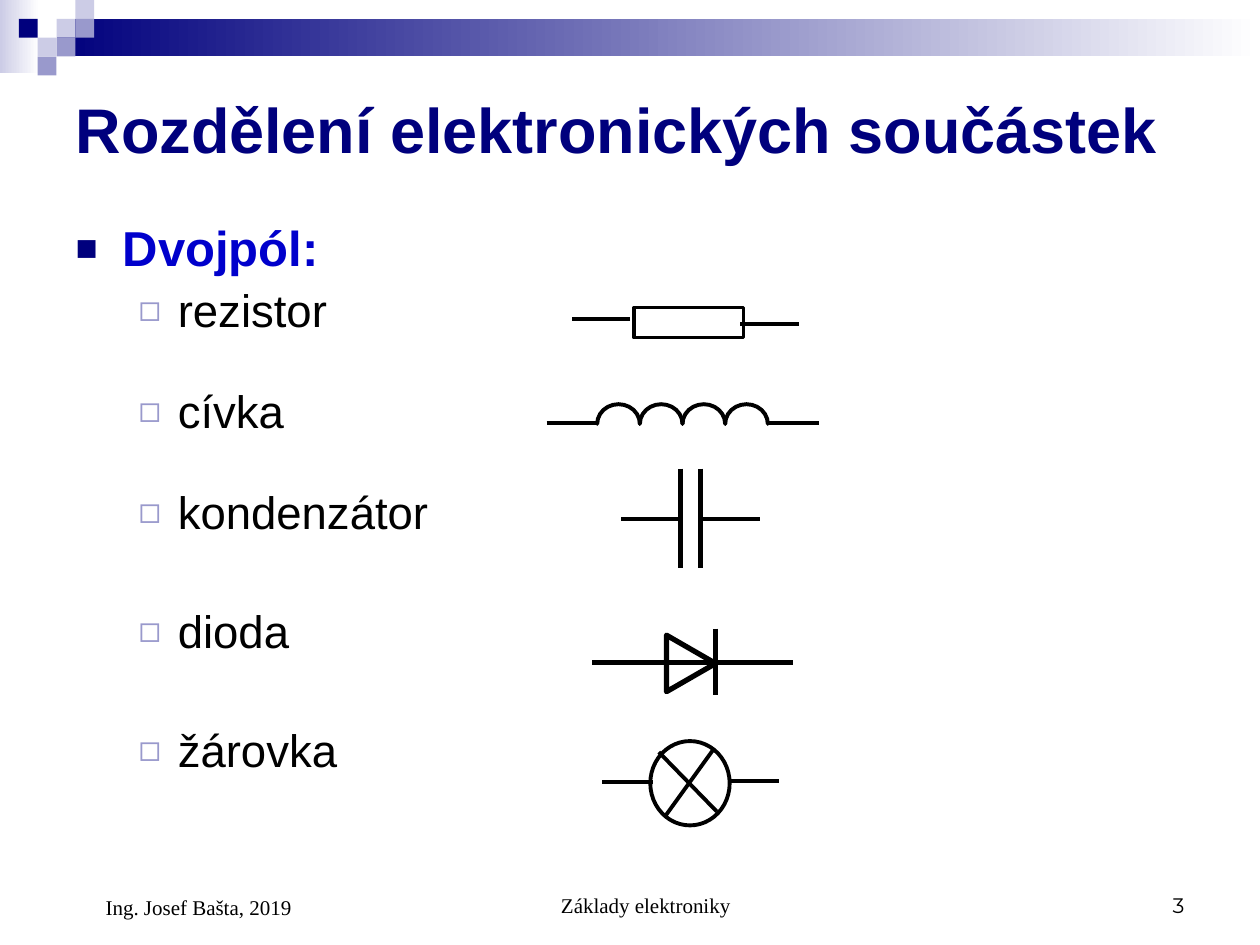
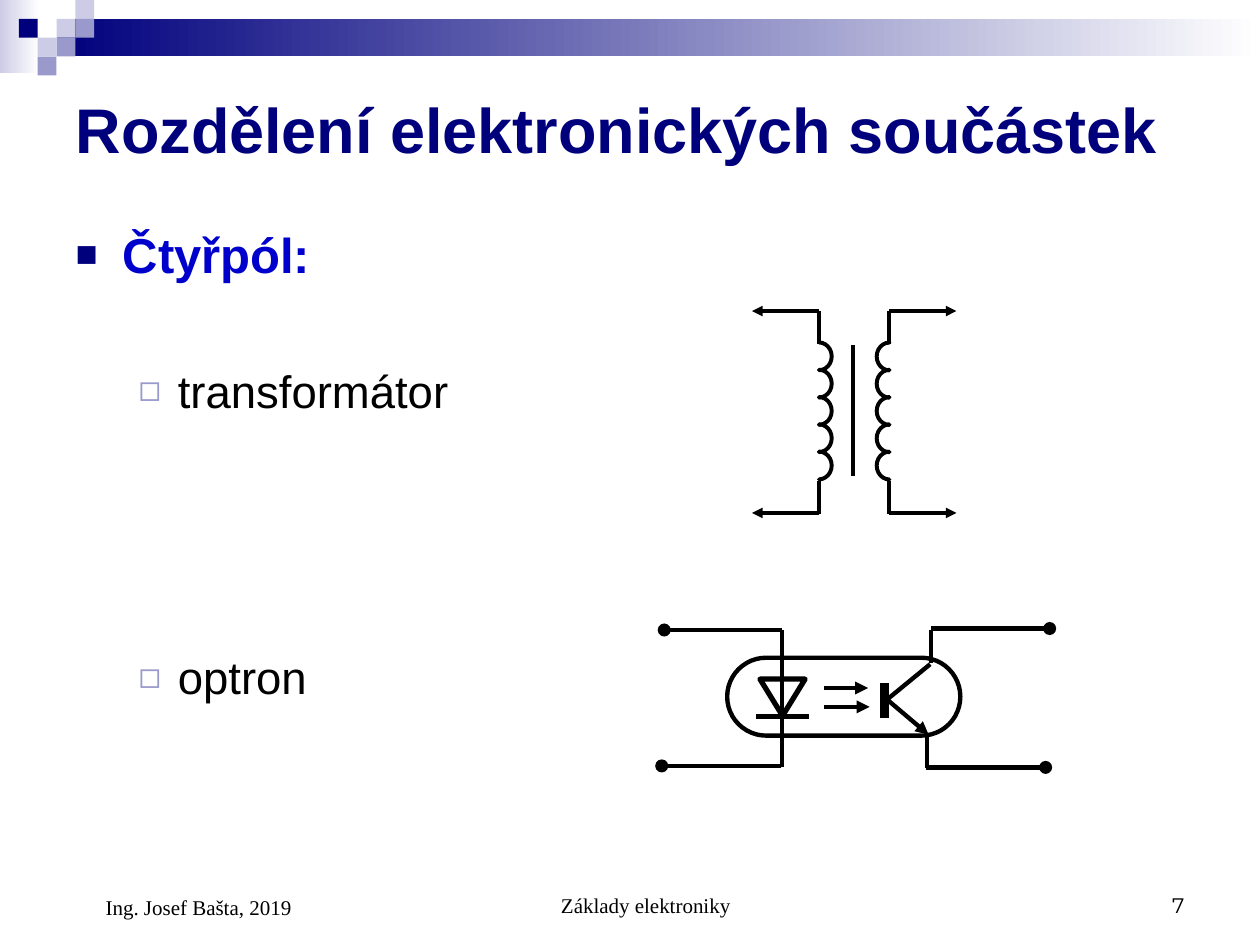
"""Build two slides on two-pole and four-pole electronic components."""
from dataclasses import dataclass
from typing import Optional, Union

from lxml.etree import SubElement
from pptx import Presentation
from pptx.dml.color import RGBColor
from pptx.enum.shapes import MSO_CONNECTOR, MSO_SHAPE
from pptx.enum.text import MSO_ANCHOR, MSO_AUTO_SIZE, PP_ALIGN
from pptx.oxml.ns import qn
from pptx.util import Cm, Pt


@dataclass(frozen=True)
class Theme:
    """Colours, fonts and type sizes of the deck."""
    navy: str = "00007D"
    blue: str = "0000CC"
    violet: str = "9999CC"
    pale: str = "CCCCE6"
    black: str = "000000"
    white: str = "FFFFFF"
    sans: str = "Arial"
    serif: str = "Times New Roman"
    number: str = "Montserrat"
    title_size: float = 36
    heading_size: float = 28
    item_size: float = 26
    footer_size: float = 12


@dataclass(frozen=True)
class Bullet:
    """Bullet sign with its colour, percent size and indents in cm."""
    sign: str
    color: str
    percent: int
    left: float
    hanging: float


@dataclass(frozen=True)
class Wire:
    """Straight stroke between two points in cm."""
    x1: float
    y1: float
    x2: float
    y2: float
    width: float
    tail: Optional[str] = None


@dataclass(frozen=True)
class Outline:
    """Unfilled preset shape, placed in cm."""
    kind: MSO_SHAPE
    left: float
    top: float
    wide: float
    high: float
    width: float
    rotation: float = 0
    adjustments: tuple[float, ...] = ()


@dataclass(frozen=True)
class Item:
    """List entry with the space above it in points."""
    text: str
    space: float = 6.5


@dataclass(frozen=True)
class Page:
    """Content of one slide."""
    number: str
    heading: str
    line_spacing: float
    items: tuple[Item, ...]
    symbols: tuple["Symbol", ...]


Symbol = list[Union[Wire, Outline]]

THEME = Theme()
TITLE = "Rozdělení elektronických součástek"
HEADING_BULLET = Bullet("■", THEME.navy, 75, 0.95, 0.95)
ITEM_BULLET = Bullet("◻", THEME.violet, 80, 2.06, 0.79)
SQUARE = 0.38
SQUARES = (
    (3, 1, THEME.pale), (4, 0, THEME.pale), (4, 1, THEME.violet), (2, 2, THEME.pale),
    (1, 1, THEME.navy), (3, 2, THEME.violet), (2, 3, THEME.violet),
)


def coil(left: float, top: float, step_x: float, step_y: float, count: int,
         wide: float, high: float, rotation: float = 0) -> Symbol:
    """Return a row of half-circle windings."""
    return [
        Outline(MSO_SHAPE.BLOCK_ARC, left + turn * step_x, top + turn * step_y,
                wide, high, 2.25, rotation, (107.88, 0.12, 0))
        for turn in range(count)
    ]


def winding(arc_left: float, lead: float, arrow_end: float, rotation: float) -> Symbol:
    """Return one side of the transformer."""
    leads = [Wire(lead, top, lead, bottom, 2.25) for top, bottom in ((6.27, 6.93), (9.7, 10.36))]
    arrows = [Wire(lead, level, arrow_end, level, 2, "triangle") for level in (6.27, 10.34)]
    return coil(arc_left, 6.93, 0, 0.55, 5, 0.56, 0.51, rotation) + leads + arrows


RESISTOR: Symbol = [
    Outline(MSO_SHAPE.RECTANGLE, 12.78, 6.2, 2.21, 0.61, 2),
    Wire(16.1, 6.53, 14.91, 6.53, 2),
    Wire(12.7, 6.43, 11.53, 6.43, 2),
]
INDUCTOR: Symbol = coil(12.04, 8.15, 0.86, 0, 4, 0.86, 0.79) + [
    Wire(11.02, 8.53, 12.04, 8.53, 2.25),
    Wire(15.49, 8.53, 16.51, 8.53, 2.25),
]
CAPACITOR: Symbol = [
    Wire(13.72, 9.45, 13.72, 11.46, 2.5),
    Wire(14.12, 9.45, 14.12, 11.46, 2.5),
    Wire(15.32, 10.46, 14.12, 10.46, 2.5),
    Wire(13.72, 10.46, 12.52, 10.46, 2.5),
]
DIODE: Symbol = [
    Wire(11.94, 13.36, 15.98, 13.36, 3),
    Outline(MSO_SHAPE.ISOSCELES_TRIANGLE, 13.36, 12.88, 1.14, 0.99, 3, 90),
    Wire(14.43, 12.67, 14.43, 14.02, 3),
]
LAMP: Symbol = [
    Outline(MSO_SHAPE.OVAL, 13.11, 14.94, 1.6, 1.7, 2.2),
    Wire(13.39, 16.48, 14.38, 15.11, 2.2),
    Wire(14.45, 16.36, 13.28, 15.16, 2.2),
    Wire(12.14, 15.77, 13.16, 15.77, 2.2),
    Wire(14.68, 15.75, 15.7, 15.75, 2.2),
]
TRANSFORMER: Symbol = (
    winding(16.23, 16.51, 15.16, 90)
    + winding(17.65, 17.93, 19.28, 270)
    + [Wire(17.2, 6.96, 17.2, 9.6, 2.25)]
)
OPTOCOUPLER: Symbol = [
    Wire(15.77, 12.7, 15.77, 15.47, 2.5),
    Outline(MSO_SHAPE.ISOSCELES_TRIANGLE, 15.32, 13.69, 0.91, 0.74, 3, 180),
    Wire(16.31, 14.45, 15.24, 14.45, 3),
    Wire(17.83, 13.77, 17.83, 14.48, 5),
    Wire(17.86, 14.12, 18.75, 13.39, 2.5),
    Wire(17.88, 14.1, 18.72, 14.81, 2.5, "triangle"),
    Wire(18.69, 15.49, 18.69, 14.81, 2.5),
    Wire(18.77, 13.36, 18.77, 12.7, 2.5),
    Outline(MSO_SHAPE.ROUNDED_RECTANGLE, 14.66, 13.26, 4.7, 1.57, 2.5, 0, (0.5,)),
    Wire(16.61, 13.87, 17.5, 13.87, 2.5, "triangle"),
    Wire(16.61, 14.25, 17.53, 14.25, 2.5, "triangle"),
    Wire(15.77, 12.7, 13.39, 12.7, 2.5, "oval"),
    Wire(15.75, 15.44, 13.34, 15.44, 2.5, "oval"),
    Wire(18.77, 12.67, 21.16, 12.67, 2.5, "oval"),
    Wire(18.67, 15.47, 21.08, 15.47, 2.5, "oval"),
]

PAGES = (
    Page("3", "Dvojpól:", 0.9,
         (Item("rezistor"), Item("cívka", 29.6), Item("kondenzátor", 29.6),
          Item("dioda", 39.9), Item("žárovka", 39.9)),
         (INDUCTOR, RESISTOR, CAPACITOR, DIODE, LAMP)),
    Page("7", "Čtyřpól:", 1.0,
         (Item("transformátor", 45.7), Item("optron", 132.5)),
         (OPTOCOUPLER, TRANSFORMER)),
)


def rgb(color: str) -> RGBColor:
    """Return a colour from its hex code."""
    return RGBColor.from_string(color)


def write(para, text: str, *, size: float, color: str = THEME.black, font: str = THEME.sans,
          bold: bool = False, align: PP_ALIGN = PP_ALIGN.LEFT, left: float = 0,
          line_spacing: float = 1.0, space: float = 0, bullet: Optional[Bullet] = None) -> None:
    """Write one formatted paragraph."""
    para.alignment = align
    para.line_spacing = line_spacing
    para.space_before = Pt(space)
    span = para.add_run()
    span.text = text
    span.font.size = Pt(size)
    span.font.name = font
    span.font.bold = bold
    span.font.color.rgb = rgb(color)
    properties = para._p.get_or_add_pPr()
    properties.set("marL", str(Cm(bullet.left if bullet else left)))
    properties.set("indent", str(Cm(-bullet.hanging if bullet else 0)))
    if bullet:
        tint = SubElement(properties, qn("a:buClr"))
        SubElement(tint, qn("a:srgbClr"), val=bullet.color)
        SubElement(properties, qn("a:buSzPct"), val=str(bullet.percent * 1000))
        SubElement(properties, qn("a:buFont"), typeface=THEME.sans)
        SubElement(properties, qn("a:buChar"), char=bullet.sign)


def place(box, left: float, top: float, wide: float, high: float, anchor: MSO_ANCHOR):
    """Move a text shape and return its prepared text frame."""
    box.left, box.top, box.width, box.height = Cm(left), Cm(top), Cm(wide), Cm(high)
    frame = box.text_frame
    frame.word_wrap = True
    frame.auto_size = MSO_AUTO_SIZE.NONE
    frame.vertical_anchor = anchor
    return frame


def add_block(page, left: float, top: float, wide: float, high: float,
              color: str, fade: bool = False) -> None:
    """Add a borderless rectangle, plain or fading to white on the right or left."""
    block = page.shapes.add_shape(MSO_SHAPE.RECTANGLE, Cm(left), Cm(top), Cm(wide), Cm(high))
    block.shadow.inherit = False
    block.line.fill.background()
    if fade:
        block.fill.gradient()
        block.fill.gradient_angle = 180
        for stop, shade in zip(block.fill.gradient_stops, (THEME.white, color)):
            stop.color.rgb = rgb(shade)
    else:
        block.fill.solid()
        block.fill.fore_color.rgb = rgb(color)


def add_band(page) -> None:
    """Draw the band and squares along the top."""
    add_block(page, 0, 0, 0.79, 1.47, THEME.pale, fade=True)
    add_block(page, 1.14, 0.38, 24.26, 0.76, THEME.navy, fade=True)
    for column, row, color in SQUARES:
        add_block(page, column * SQUARE, row * SQUARE, SQUARE, SQUARE, color)


def add_footers(page, number: str) -> None:
    """Add the course, page number and author along the bottom."""
    footers = (
        ("Základy elektroniky", 8.69, 8.05, 1.27, PP_ALIGN.CENTER, 0.61, THEME.serif),
        (number, 18.21, 5.92, 1.27, PP_ALIGN.RIGHT, 0, THEME.number),
        ("Ing. Josef Bašta, 2019", 1.27, 5.92, 1.32, PP_ALIGN.LEFT, 0.61, THEME.serif),
    )
    for text, left, wide, high, align, indent, font in footers:
        box = page.shapes.add_textbox(0, 0, 0, 0)
        frame = place(box, left, 17.35, wide, high, MSO_ANCHOR.BOTTOM)
        write(frame.paragraphs[0], text, size=THEME.footer_size, font=font, align=align, left=indent)


def add_wire(group, wire: Wire) -> None:
    """Draw one stroke with its optional end mark."""
    line = group.shapes.add_connector(
        MSO_CONNECTOR.STRAIGHT, Cm(wire.x1), Cm(wire.y1), Cm(wire.x2), Cm(wire.y2))
    line.line.width = Pt(wire.width)
    line.line.color.rgb = rgb(THEME.black)
    properties = line._element.spPr
    if wire.tail:
        SubElement(properties.find(qn("a:ln")), qn("a:tailEnd"), type=wire.tail)
    SubElement(properties, qn("a:effectLst"))


def add_outline(group, outline: Outline) -> None:
    """Draw one unfilled preset shape."""
    shape = group.shapes.add_shape(outline.kind, Cm(outline.left), Cm(outline.top),
                                   Cm(outline.wide), Cm(outline.high))
    shape.shadow.inherit = False
    shape.fill.background()
    shape.line.width = Pt(outline.width)
    shape.line.color.rgb = rgb(THEME.black)
    shape.rotation = outline.rotation
    for index, value in enumerate(outline.adjustments):
        shape.adjustments[index] = value


def add_page(deck, content: Page) -> None:
    """Add one complete slide."""
    page = deck.slides.add_slide(deck.slide_layouts[1])
    add_band(page)
    title = place(page.shapes.title, 1.27, 1.27, 22.86, 2.62, MSO_ANCHOR.MIDDLE)
    write(title.paragraphs[0], TITLE, size=THEME.title_size, color=THEME.navy, bold=True)
    body = place(page.placeholders[1], 1.27, 4.39, 9.09, 12.4, MSO_ANCHOR.TOP)
    write(body.paragraphs[0], content.heading, size=THEME.heading_size, color=THEME.blue,
          bold=True, line_spacing=content.line_spacing, space=7, bullet=HEADING_BULLET)
    for item in content.items:
        para = body.add_paragraph()
        para.level = 1
        write(para, item.text, size=THEME.item_size, line_spacing=content.line_spacing,
              space=item.space, bullet=ITEM_BULLET)
    for symbol in content.symbols:
        group = page.shapes.add_group_shape()
        for part in symbol:
            if isinstance(part, Wire):
                add_wire(group, part)
            else:
                add_outline(group, part)
    add_footers(page, content.number)


def main() -> None:
    """Build and save the deck."""
    deck = Presentation()
    deck.slide_width, deck.slide_height = Cm(25.4), Cm(19.05)
    for content in PAGES:
        add_page(deck, content)
    deck.save("out.pptx")


if __name__ == "__main__":
    main()
